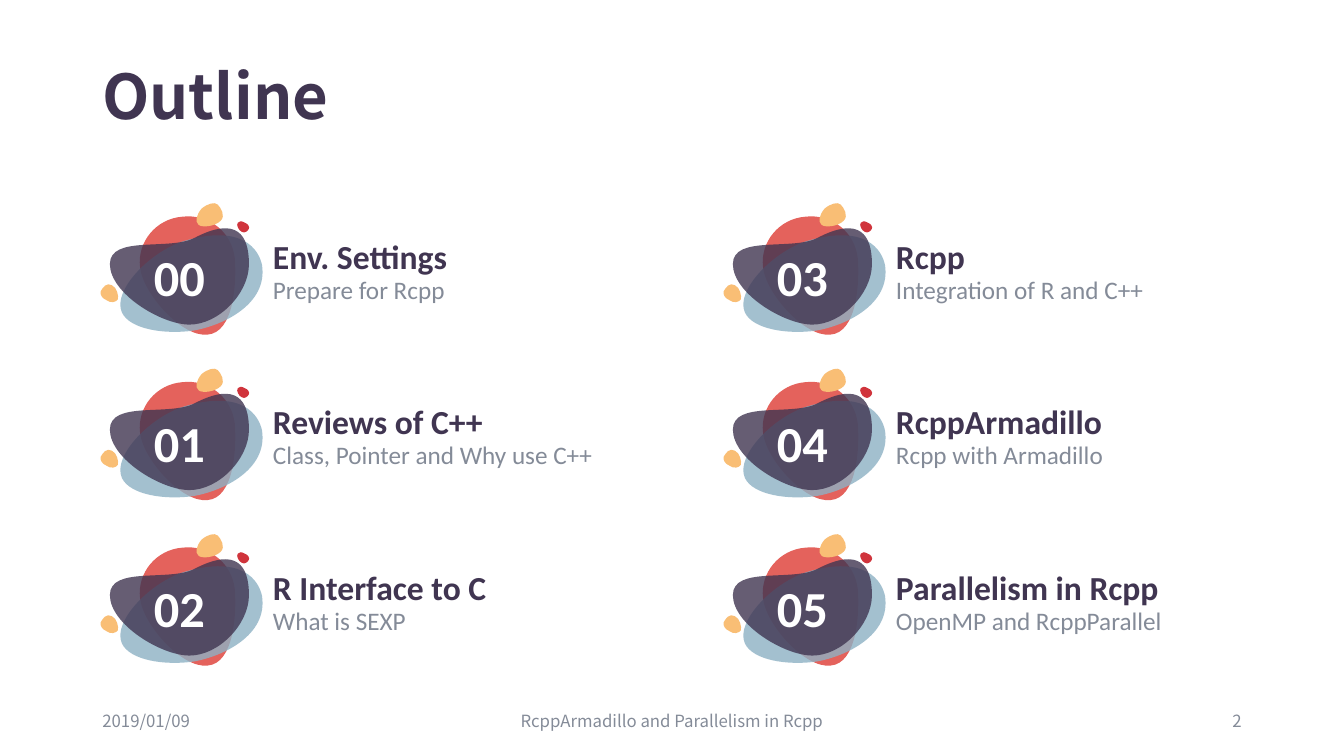
from lxml.etree import SubElement
from pptx import Presentation
from pptx.dml.color import RGBColor
from pptx.enum.text import MSO_ANCHOR as Anchor, PP_ALIGN as Align
from pptx.oxml.ns import qn
from pptx.util import Cm, Pt

HEADING_FONT = "Noto Sans CJK SC"
BODY_FONT = "Calibri"
PURPLE, GREY, WHITE = "403551", "848B98", "FFFFFF"
RED, BLUE, ORANGE, CRIMSON = "E4625C", "8DB1C4", "F9BE75", "D0343C"

OUTLINE_UNIT = Cm(2.54) / 100
CURVE_STEPS = 16

RED_BLOB = [(39, 65), (41, 90), (80, 135), (106, 132), (132, 130), (135, 81), (133, 56),
            (130, 30), (107, 12), (81, 15), (55, 17), (36, 40), (39, 65)]
BLUE_BLOB = [(21, 110), (29, 127), (64, 132), (92, 128), (121, 123), (166, 102), (160, 63),
             (157, 48), (141, 22), (83, 39), (50, 49), (11, 88), (21, 110)]
PURPLE_BLOB = [(9, 62), (9, 91), (60, 122), (88, 122), (117, 122), (147, 91), (147, 62),
               (147, 33), (135, 14), (93, 36), (68, 49), (9, 33), (9, 62)]
TOP_DROP = [(97, 23), (100, 26), (113, 25), (119, 19), (124, 14), (119, 6), (116, 3),
            (113, 0), (106, 2), (100, 7), (95, 13), (93, 20), (97, 23)]
LEFT_DROP = [(17, 97), (18, 94), (16, 85), (11, 83), (6, 80), (2, 85), (0, 89),
             (-1, 92), (1, 96), (6, 98), (10, 101), (15, 100), (17, 97)]
SMALL_DROP = [(136, 21), (134, 23), (137, 29), (140, 30), (143, 32), (146, 29), (147, 27),
              (148, 25), (146, 22), (143, 21), (140, 19), (137, 19), (136, 21)]

TOPICS = [
    ("Env. Settings", "Prepare for Rcpp"),
    ("Reviews of C++", "Class, Pointer and Why use C++"),
    ("R Interface to C", "What is SEXP"),
    ("Rcpp", "Integration of R and C++"),
    ("RcppArmadillo", "Rcpp with Armadillo"),
    ("Parallelism in Rcpp", "OpenMP and RcppParallel"),
]
ROWS = 3


def color(hex_string):
    """Return the colour for a hex string."""
    return RGBColor.from_string(hex_string)


def set_text(shape, text, size, hex_color, font=BODY_FONT, bold=False, align=Align.LEFT,
             anchor=Anchor.MIDDLE, insets=(0.25, 0.13, 0.25, 0.13)):
    """Write one formatted paragraph into a shape."""
    frame = shape.text_frame
    frame.text = text
    frame.word_wrap = True
    frame.vertical_anchor = anchor
    (frame.margin_left, frame.margin_top,
     frame.margin_right, frame.margin_bottom) = map(Cm, insets)
    paragraph = frame.paragraphs[0]
    paragraph.alignment = align
    run_font = paragraph.runs[0].font
    run_font.name, run_font.size, run_font.bold = font, Pt(size), bold
    run_font.color.rgb = color(hex_color)
    return paragraph


def curve_range(values):
    """Return the lowest and highest value that a chain of cubic curves reaches."""
    reached = []
    for first in range(0, len(values) - 1, 3):
        a, b, c, d = values[first:first + 4]
        for step in range(CURVE_STEPS + 1):
            t = step / CURVE_STEPS
            s = 1 - t
            reached.append(a * s ** 3 + 3 * b * t * s ** 2 + 3 * c * t ** 2 * s + d * t ** 3)
    return round(min(reached)), round(max(reached))


def set_curves(blob, points):
    """Give a freeform a closed contour of cubic curves."""
    contour = next(blob._element.spPr.iter(qn("a:path")))
    del contour[:]
    commands = [("a:moveTo", points[:1])]
    commands += [("a:cubicBezTo", points[first:first + 3]) for first in range(1, len(points), 3)]
    for tag, command_points in commands:
        command = SubElement(contour, qn(tag))
        for x, y in command_points:
            SubElement(command, qn("a:pt"), x=str(x - blob.left), y=str(y - blob.top))
    SubElement(contour, qn("a:close"))


def add_blob(shapes, left, top, outline, hex_color, opacity=100):
    """Draw one rounded blob relative to the corner of its badge."""
    points = [(round(left + x * OUTLINE_UNIT), round(top + y * OUTLINE_UNIT))
              for x, y in outline]
    (west, east), (north, south) = map(curve_range, zip(*points))
    builder = shapes.build_freeform(west, north)
    builder.add_line_segments([(east, north), (east, south), (west, south)], close=True)
    blob = builder.convert_to_shape()
    set_curves(blob, points)
    blob.shadow.inherit = False
    blob.fill.solid()
    blob.fill.fore_color.rgb = color(hex_color)
    blob.line.fill.background()
    if opacity < 100:
        fill_color = blob._element.spPr.find(qn("a:solidFill")).find(qn("a:srgbClr"))
        SubElement(fill_color, qn("a:alpha")).set("val", str(opacity * 1000))
    return blob


def add_badge(slide, left, top, number):
    """Draw the numbered badge as one group."""
    shapes = slide.shapes.add_group_shape().shapes
    add_blob(shapes, left, top, RED_BLOB, RED)
    add_blob(shapes, left, top, BLUE_BLOB, BLUE, 80)
    plate = add_blob(shapes, left, top, PURPLE_BLOB, PURPLE, 80)
    set_text(plate, f"{number:02d}", 36, WHITE, bold=True, align=Align.CENTER,
             insets=(0.1, 0.1, 0.1, 0.1))
    for outline, hex_color in ((TOP_DROP, ORANGE), (LEFT_DROP, ORANGE), (SMALL_DROP, CRIMSON)):
        add_blob(shapes, left, top, outline, hex_color)


def add_topic(slide, left, top, number, heading, detail):
    """Place a badge with its heading and detail line."""
    add_badge(slide, left, top, number)
    shapes = slide.shapes.add_group_shape().shapes
    text_left, width = left + Cm(4.09), Cm(9)
    heading_box = shapes.add_textbox(text_left, top + Cm(0.33), width, Cm(1.55))
    set_text(heading_box, heading, 24, PURPLE, bold=True, anchor=Anchor.BOTTOM,
             insets=(0.25, 0.5, 0.25, 0))
    detail_box = shapes.add_textbox(text_left, top + Cm(1.83), width, Cm(0.76))
    set_text(detail_box, detail, 18, GREY, anchor=Anchor.TOP, insets=(0.25, 0, 0.25, 0))


def add_topics(slide, left, top, column_step, row_step):
    """Lay out the topics column by column."""
    for number, (heading, detail) in enumerate(TOPICS):
        column, row = divmod(number, ROWS)
        add_topic(slide, left + column * column_step, top + row * row_step,
                  number, heading, detail)


def add_title(slide, left, top, width, height):
    """Place the slide title."""
    box = slide.shapes.add_textbox(left, top, width, height)
    paragraph = set_text(box, "Outline", 44, PURPLE, HEADING_FONT, bold=True)
    paragraph.line_spacing = 0.9


def add_footer(slide, left, top, width, height):
    """Place the date, the talk title and the page number."""
    side, middle = Cm(7.62), Cm(11.43)
    parts = [
        ("2019/01/09", left, side, Align.LEFT),
        ("RcppArmadillo and Parallelism in Rcpp", left + (width - middle) // 2, middle,
         Align.CENTER),
        ("2", left + width - side, side, Align.RIGHT),
    ]
    for text, part_left, part_width, align in parts:
        box = slide.shapes.add_textbox(part_left, top, part_width, height)
        set_text(box, text, 12, GREY, HEADING_FONT, align=align)


def main():
    """Build the outline slide and save it."""
    presentation = Presentation()
    presentation.slide_width, presentation.slide_height = Cm(33.87), Cm(19.05)
    slide = presentation.slides.add_slide(presentation.slide_layouts[6])
    margin, content_width = Cm(2.33), Cm(29.21)
    add_title(slide, margin, Cm(0.94), content_width, Cm(3.15))
    add_topics(slide, Cm(2.54), Cm(5.08), Cm(15.7), Cm(4.17))
    add_footer(slide, margin, Cm(17.65), content_width, Cm(1.02))
    presentation.save("out.pptx")


if __name__ == "__main__":
    main()
